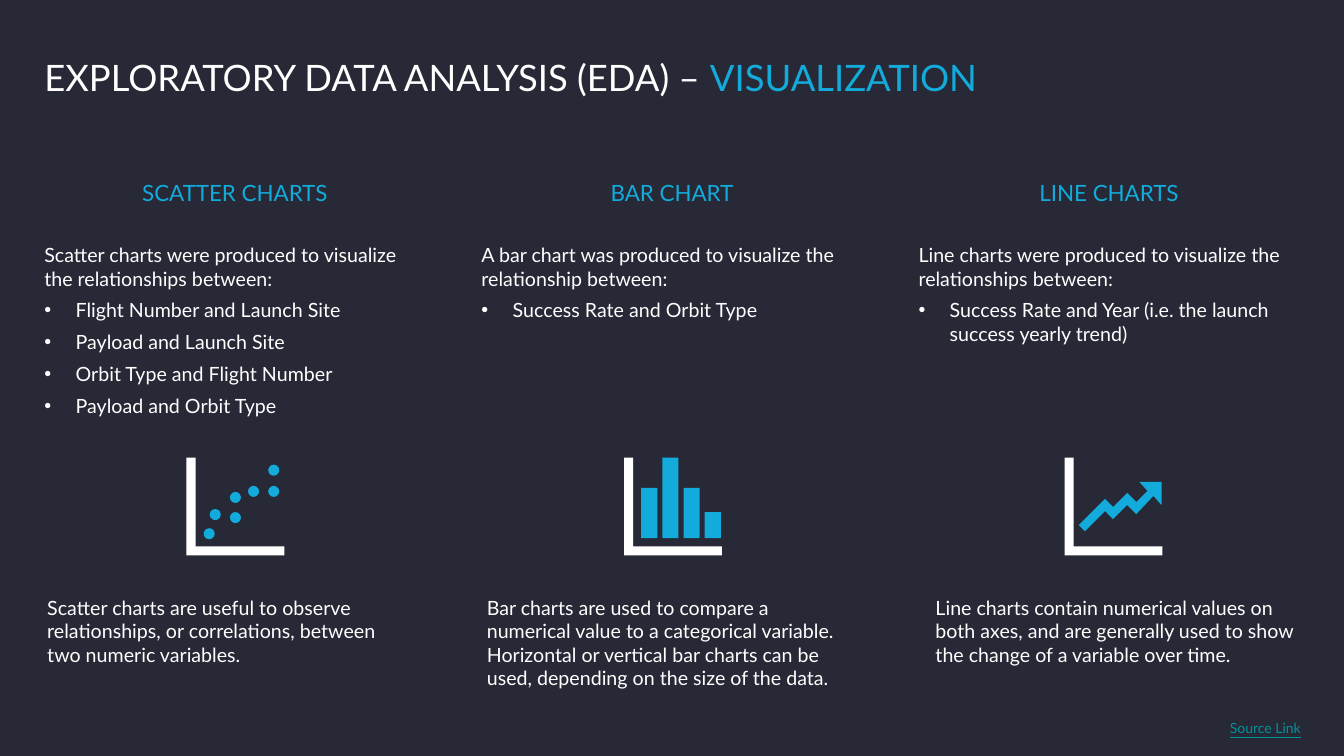
from dataclasses import dataclass

from lxml import etree
from pptx import Presentation
from pptx.dml.color import RGBColor
from pptx.enum.shapes import MSO_SHAPE
from pptx.enum.text import MSO_ANCHOR, PP_ALIGN
from pptx.oxml.ns import qn
from pptx.util import Inches, Pt

OVAL, RECTANGLE = MSO_SHAPE.OVAL, MSO_SHAPE.RECTANGLE
TOP, MIDDLE, BOTTOM = MSO_ANCHOR.TOP, MSO_ANCHOR.MIDDLE, MSO_ANCHOR.BOTTOM
CENTER = PP_ALIGN.CENTER


@dataclass(frozen=True)
class Theme:
    font: str = "Lato"
    background: RGBColor = RGBColor(0x27, 0x29, 0x36)
    text: RGBColor = RGBColor(0xFF, 0xFF, 0xFF)
    accent: RGBColor = RGBColor(0x12, 0xAB, 0xDB)
    link: RGBColor = RGBColor(0x00, 0x92, 0x9B)
    title_size: Pt = Pt(26)
    heading_size: Pt = Pt(16)
    body_size: Pt = Pt(14)
    link_size: Pt = Pt(10)


THEME = Theme()
MARGIN, COLUMN_STEP, COLUMN_WIDTH = 0.44, 4.335, 3.78
ICON_TOP, ICON_SIZE, AXIS_WIDTH = 4.54, 0.97, 0.09

# Icon parts, in inches from the top left of the icon
AXES = [(0, 0), (0, ICON_SIZE), (ICON_SIZE, ICON_SIZE),
        (ICON_SIZE, ICON_SIZE - AXIS_WIDTH),
        (AXIS_WIDTH, ICON_SIZE - AXIS_WIDTH), (AXIS_WIDTH, 0)]
DOT_SIZE = 0.11
DOTS = [(0.17, 0.7), (0.23, 0.51), (0.43, 0.54), (0.43, 0.34),
        (0.61, 0.28), (0.81, 0.28), (0.81, 0.07)]
BAR_LEFT, BAR_STEP, BAR_WIDTH, BAR_BASE = 0.17, 0.21, 0.16, 0.8
BAR_HEIGHTS = [0.5, 0.8, 0.5, 0.26]
TREND_ARROW = [(0.74, 0.24), (0.82, 0.33), (0.71, 0.44), (0.62, 0.35),
               (0.48, 0.49), (0.4, 0.41), (0.14, 0.67), (0.2, 0.73),
               (0.4, 0.53), (0.48, 0.61), (0.62, 0.47), (0.71, 0.56),
               (0.88, 0.38), (0.96, 0.47), (0.96, 0.24)]


def add_text_box(page, left, top, width, height, anchor=TOP, inset=None, wrap=True):
    box = page.shapes.add_textbox(Inches(left), Inches(top), Inches(width), Inches(height))
    frame = box.text_frame
    frame.word_wrap = wrap
    frame.vertical_anchor = anchor
    if inset is not None:
        frame.margin_left = frame.margin_right = Inches(inset)
        frame.margin_top = frame.margin_bottom = Inches(inset)
    return frame


def style(para, size, color):
    para.font.name = THEME.font
    para.font.size = size
    para.font.color.rgb = color


def add_bullet(para):
    properties = para._p.get_or_add_pPr()
    properties.set("marL", str(Inches(0.31)))
    properties.set("indent", str(-Inches(0.31)))
    etree.SubElement(properties, qn("a:buFont")).set("typeface", "Arial")
    etree.SubElement(properties, qn("a:buChar")).set("char", "•")


def add_title(page, lead, highlight):
    frame = add_text_box(page, MARGIN, 0.21, 11.97, 0.78, BOTTOM, inset=0)
    para = frame.paragraphs[0]
    para.line_spacing = 0.9
    for text, color in ((lead, THEME.text), (highlight, THEME.accent)):
        span = para.add_run()
        span.text = text
        span.font.color.rgb = color
    para.font.name = THEME.font
    para.font.size = THEME.title_size


def add_heading(page, left, text):
    para = add_text_box(page, left, 1.45, COLUMN_WIDTH, 0.92, MIDDLE, inset=0).paragraphs[0]
    para.text = text
    para.alignment = CENTER
    style(para, THEME.heading_size, THEME.accent)


def add_list(page, left, intro, items):
    frame = add_text_box(page, left, 2.41, COLUMN_WIDTH, 4.46, inset=0)
    for index, text in enumerate([intro, *items]):
        para = frame.add_paragraph() if index else frame.paragraphs[0]
        para.text = text
        para.space_after = Pt(6)
        if index:
            add_bullet(para)
        style(para, THEME.body_size, THEME.text)


def add_note(page, left, text):
    para = add_text_box(page, left, 5.86, COLUMN_WIDTH, 1.04).paragraphs[0]
    para.text = text
    style(para, THEME.body_size, THEME.text)


def add_link_label(page, text):
    para = add_text_box(page, 12.1, 7.09, 0.98, 0.28, wrap=False).paragraphs[0]
    para.text = text
    style(para, THEME.link_size, THEME.link)
    para.font.underline = True


def paint(shape, color):
    shape.shadow.inherit = False
    shape.fill.solid()
    shape.fill.fore_color.rgb = color
    shape.line.fill.background()


def add_outline(page, left, points, color):
    corners = [(Inches(left + x), Inches(ICON_TOP + y)) for x, y in points]
    builder = page.shapes.build_freeform(*corners[0])
    builder.add_line_segments(corners[1:], close=True)
    paint(builder.convert_to_shape(), color)


def add_mark(page, kind, left, top, width, height):
    shape = page.shapes.add_shape(kind, Inches(left), Inches(ICON_TOP + top),
                                  Inches(width), Inches(height))
    paint(shape, THEME.accent)


def draw_dots(page, left):
    for x, y in DOTS:
        add_mark(page, OVAL, left + x, y, DOT_SIZE, DOT_SIZE)


def draw_bars(page, left):
    for index, height in enumerate(BAR_HEIGHTS):
        x = left + BAR_LEFT + index * BAR_STEP
        add_mark(page, RECTANGLE, x, BAR_BASE - height, BAR_WIDTH, height)


def draw_trend(page, left):
    add_outline(page, left, TREND_ARROW, THEME.accent)


# Heading, intro, bullets, icon left, icon painter, note left, note
COLUMNS = [
    ("SCATTER CHARTS",
     "Scatter charts were produced to visualize the relationships between:",
     ["Flight Number and Launch Site", "Payload and Launch Site",
      "Orbit Type and Flight Number", "Payload and Orbit Type"],
     1.85, draw_dots, 0.37,
     "Scatter charts are useful to observe relationships, or correlations, "
     "between two numeric variables."),
    ("BAR CHART",
     "A bar chart was produced to visualize the relationship between:",
     ["Success Rate and Orbit Type"],
     6.19, draw_bars, 4.73,
     "Bar charts are used to compare a numerical value to a categorical variable. "
     "Horizontal or vertical bar charts can be used, depending on the size of the data."),
    ("LINE CHARTS",
     "Line charts were produced to visualize the relationships between:",
     ["Success Rate and Year (i.e. the launch success yearly trend)"],
     10.56, draw_trend, 9.18,
     "Line charts contain numerical values on both axes, and are generally used "
     "to show the change of a variable over time."),
]


def main():
    deck = Presentation()
    deck.slide_width, deck.slide_height = Inches(13.33), Inches(7.5)
    page = deck.slides.add_slide(deck.slide_layouts[6])
    page.background.fill.solid()
    page.background.fill.fore_color.rgb = THEME.background

    add_title(page, "EXPLORATORY DATA ANALYSIS (EDA) – ", "VISUALIZATION")

    # One column per chart type
    for index, column in enumerate(COLUMNS):
        heading, intro, items, icon_left, draw_icon, note_left, note = column
        left = MARGIN + index * COLUMN_STEP
        add_heading(page, left, heading)
        add_list(page, left, intro, items)
        add_outline(page, icon_left, AXES, THEME.text)
        draw_icon(page, icon_left)
        add_note(page, note_left, note)

    add_link_label(page, "Source Link")
    deck.save("out.pptx")


if __name__ == "__main__":
    main()
